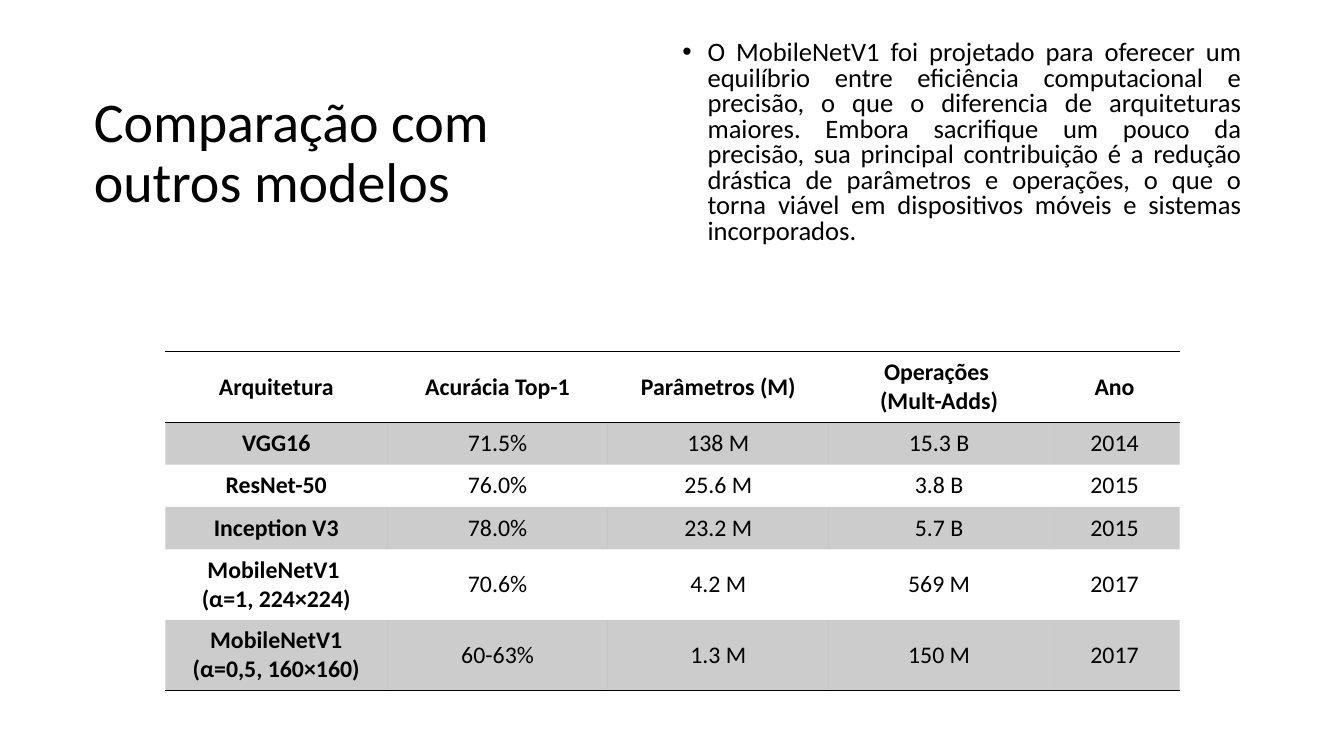
import pptx
import pptx.util
import pptx.dml.color
import pptx.enum.shapes
import pptx.enum.text
import pptx.oxml
import pptx.oxml.ns

Inches = pptx.util.Inches
Pt = pptx.util.Pt
ALIGN = pptx.enum.text.PP_ALIGN
ANCHOR = pptx.enum.text.MSO_ANCHOR

TITLE = "Comparação com outros modelos"
SUMMARY = (
    "O MobileNetV1 foi projetado para oferecer um equilíbrio entre eficiência "
    "computacional e precisão, o que o diferencia de arquiteturas maiores. Embora "
    "sacrifique um pouco da precisão, sua principal contribuição é a redução "
    "drástica de parâmetros e operações, o que o torna viável em dispositivos "
    "móveis e sistemas incorporados."
)
ROWS = [
    ("Arquitetura", "Acurácia Top-1", "Parâmetros (M)", "Operações \v(Mult-Adds)", "Ano"),
    ("VGG16", "71.5%", "138 M", "15.3 B", "2014"),
    ("ResNet-50", "76.0%", "25.6 M", "3.8 B", "2015"),
    ("Inception V3", "78.0%", "23.2 M", "5.7 B", "2015"),
    ("MobileNetV1 \v(α=1, 224×224)", "70.6%", "4.2 M", "569 M", "2017"),
    ("MobileNetV1 (α=0,5, 160×160)", "60-63%", "1.3 M", "150 M", "2017"),
]
COLUMN_WIDTHS = [2.2, 2.19, 2.19, 2.19, 1.29]
ROW_HEIGHTS = [0.7, 0.42, 0.42, 0.42, 0.7, 0.7]
COLORS = {"ink": "000000", "paper": "FFFFFF"}
FONT = "Calibri"
BAND_ALPHA = 20000
PLAIN_TABLE_STYLE = "{2D5ABB26-0587-4C30-8999-92F81FD0307C}"
NAMESPACE = pptx.oxml.ns.nsdecls("a")


def color(name):
    return pptx.dml.color.RGBColor.from_string(COLORS[name])


def format_runs(para, size, bold=False):
    for span in para.runs:
        span.font.name = FONT
        span.font.size = Pt(size)
        span.font.bold = bold
        span.font.color.rgb = color("ink")


def add_border(cell, side):
    cell._tc.get_or_add_tcPr().append(pptx.oxml.parse_xml(
        f'<a:{side} {NAMESPACE} w="12700"><a:solidFill>'
        f'<a:srgbClr val="{COLORS["ink"]}"/></a:solidFill></a:{side}>'))


def shade(cell):
    cell.fill.solid()
    cell.fill.fore_color.rgb = color("ink")
    for tint in cell._tc.tcPr.xpath("./a:solidFill/a:srgbClr"):
        tint.append(pptx.oxml.parse_xml(f'<a:alpha {NAMESPACE} val="{BAND_ALPHA}"/>'))


def add_header_band(page):
    band = page.shapes.add_shape(pptx.enum.shapes.MSO_SHAPE.RECTANGLE,
                                 0, 0, Inches(13.33), Inches(3.07))
    band.shadow.inherit = False
    band.fill.solid()
    band.fill.fore_color.rgb = color("paper")
    band.line.fill.background()
    page.shapes._spTree.insert(2, band._element)


def add_title(page):
    box = page.shapes.title
    box.left, box.top, box.width, box.height = map(Inches, (0.83, 0.37, 5.14, 2.32))
    frame = box.text_frame
    frame.text = TITLE
    frame.word_wrap = True
    frame.vertical_anchor = ANCHOR.MIDDLE
    para = frame.paragraphs[0]
    para.alignment = ALIGN.LEFT
    para.line_spacing = 0.9
    format_runs(para, 40)


def add_summary(page):
    box = page.shapes.add_textbox(*map(Inches, (6.67, 0.37, 5.74, 2.32)))
    frame = box.text_frame
    frame.text = SUMMARY
    frame.word_wrap = True
    frame.vertical_anchor = ANCHOR.TOP
    frame.margin_top = Inches(0.04)
    para = frame.paragraphs[0]
    para.alignment = ALIGN.JUSTIFY
    para.line_spacing = 0.8
    format_runs(para, 19)
    settings = para._p.get_or_add_pPr()
    settings.set("marL", str(Inches(0.25)))
    settings.set("indent", str(Inches(-0.25)))
    settings.append(pptx.oxml.parse_xml(f'<a:buFont {NAMESPACE} typeface="Arial"/>'))
    settings.append(pptx.oxml.parse_xml(f'<a:buChar {NAMESPACE} char="•"/>'))


def add_comparison(page):
    table = page.shapes.add_table(
        len(ROWS), len(COLUMN_WIDTHS), Inches(1.64), Inches(3.49),
        Inches(sum(COLUMN_WIDTHS)), Inches(sum(ROW_HEIGHTS))).table
    table.horz_banding = False
    for style in table._tbl.tblPr.xpath("./a:tableStyleId"):
        style.text = PLAIN_TABLE_STYLE
    for column, width in zip(table.columns, COLUMN_WIDTHS):
        column.width = Inches(width)
    for r, (row, height) in enumerate(zip(table.rows, ROW_HEIGHTS)):
        row.height = Inches(height)
        for c, cell in enumerate(row.cells):
            cell.text_frame.text = ROWS[r][c]
            cell.vertical_anchor = ANCHOR.MIDDLE
            para = cell.text_frame.paragraphs[0]
            para.alignment = ALIGN.CENTER
            format_runs(para, 17, bold=r == 0 or c == 0)
            if r == 0:
                add_border(cell, "lnT")
            if r in (0, len(ROWS) - 1):
                add_border(cell, "lnB")
            if r % 2:
                shade(cell)
            else:
                cell.fill.background()


def main():
    deck = pptx.Presentation()
    deck.slide_width, deck.slide_height = Inches(13.33), Inches(7.5)
    page = deck.slides.add_slide(deck.slide_layouts[5])
    add_header_band(page)
    add_title(page)
    add_summary(page)
    add_comparison(page)
    deck.save("out.pptx")


if __name__ == "__main__":
    main()
